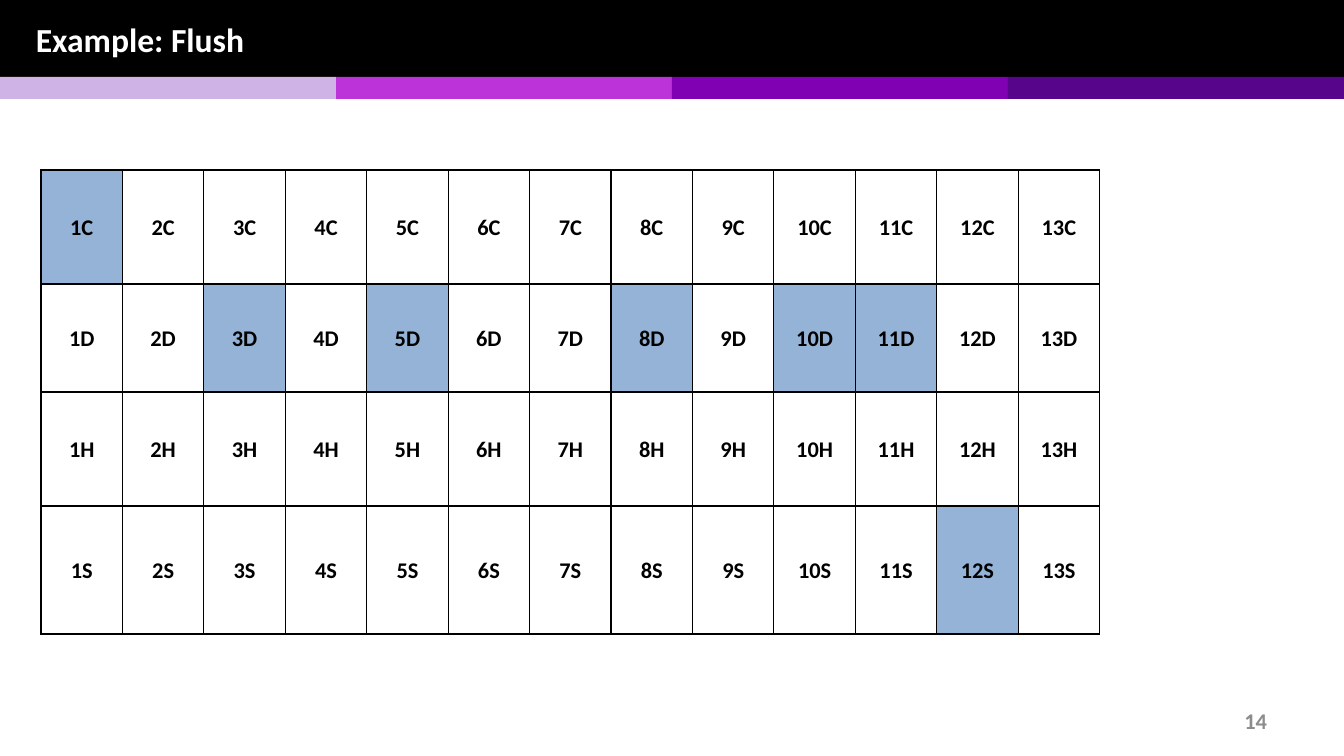
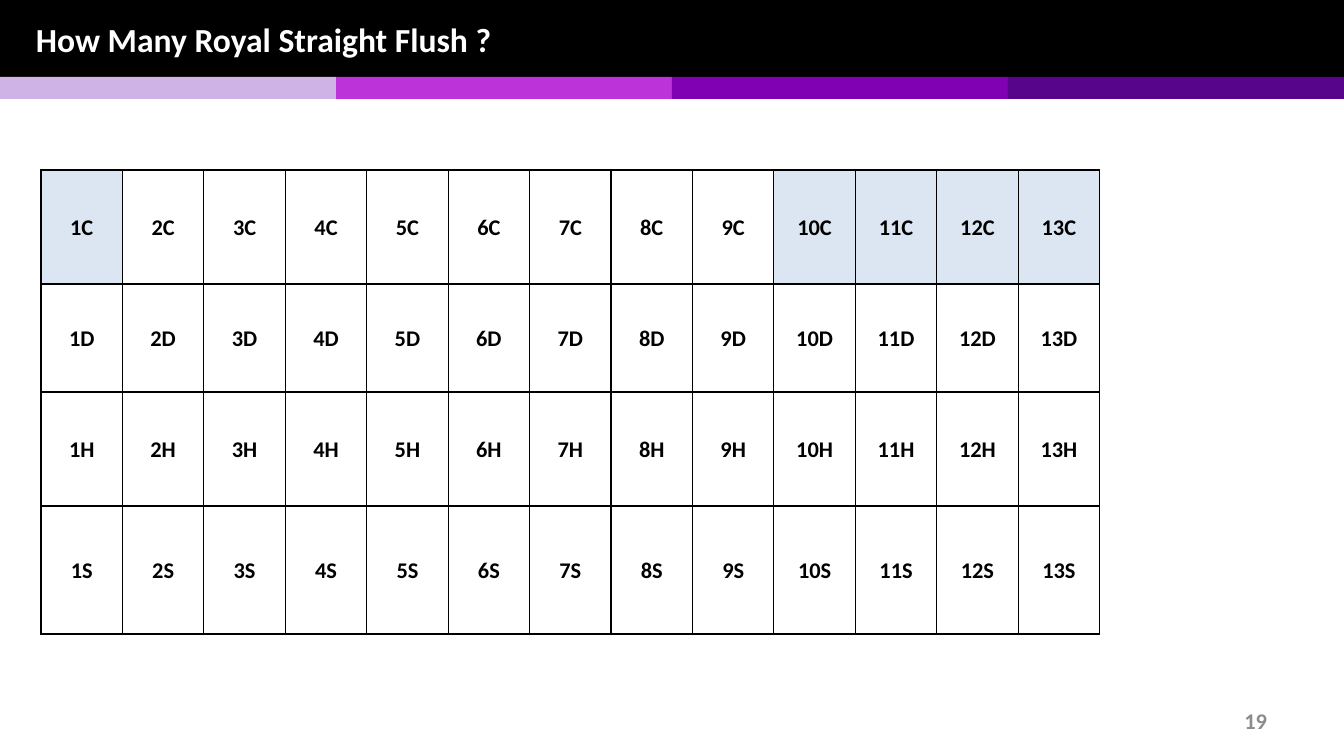
import pptx
import pptx.util
from lxml import etree
from pptx.dml.color import RGBColor
from pptx.enum.shapes import MSO_SHAPE
from pptx.enum.text import MSO_ANCHOR, PP_ALIGN
from pptx.oxml.ns import qn

SLIDES = [
    {"title": "Example: Flush", "number": 14, "highlight": RGBColor(0x95, 0xB3, 0xD7),
     "hand": {"1C", "3D", "5D", "8D", "10D", "11D", "12S"}},
    {"title": "How Many Royal Straight Flush ?", "number": 19, "highlight": RGBColor(0xDC, 0xE6, 0xF2),
     "hand": {"1C", "10C", "11C", "12C", "13C"}},
]
RANKS = range(1, 14)
SUIT_ROWS = [("C", 114), ("D", 108), ("H", 114), ("S", 128)]  # suit, row height in px

FONT = "Calibri"
BLACK = RGBColor(0, 0, 0)
WHITE = RGBColor(0xFF, 0xFF, 0xFF)
GREY = RGBColor(0x8C, 0x8C, 0x8C)
STRIPES = [RGBColor(0xCF, 0xB3, 0xE6), RGBColor(0xBD, 0x33, 0xDA),
           RGBColor(0x80, 0x00, 0xB3), RGBColor(0x57, 0x05, 0x8A)]

SLIDE_WIDTH, SLIDE_HEIGHT = 1344, 756
HEADER_HEIGHT, STRIPE_HEIGHT = 77, 22
TABLE_LEFT, TABLE_TOP, TABLE_WIDTH = 41, 170, 1059
CELL_MARGIN = 7
PX_PER_INCH = 100.8


def px(length):
    return pptx.util.Inches(length / PX_PER_INCH)


def add_band(slide, left, top, width, height, color):
    band = slide.shapes.add_shape(MSO_SHAPE.RECTANGLE, px(left), px(top), px(width), px(height))
    band.shadow.inherit = False
    band.fill.solid()
    band.fill.fore_color.rgb = color
    band.line.fill.background()


def write(frame, text, size, color, align):
    paragraph = frame.paragraphs[0]
    paragraph.text = text
    paragraph.alignment = align
    font = paragraph.font
    font.name, font.size, font.bold = FONT, pptx.util.Pt(size), True
    font.color.rgb = color
    return paragraph


def add_text(slide, left, top, width, height, text, size, color, align):
    frame = slide.shapes.add_textbox(px(left), px(top), px(width), px(height)).text_frame
    frame.word_wrap = True
    frame.vertical_anchor = MSO_ANCHOR.MIDDLE
    write(frame, text, size, color, align)


def add_frame(slide, title, number):
    """Add the header, stripes, title and page number that every slide has."""
    add_band(slide, 0, 0, SLIDE_WIDTH, HEADER_HEIGHT, BLACK)
    stripe_width = SLIDE_WIDTH // len(STRIPES)
    for index, color in enumerate(STRIPES):
        add_band(slide, index * stripe_width, HEADER_HEIGHT, stripe_width, STRIPE_HEIGHT, color)
    add_text(slide, 26, 1, 1292, 76, title, 24, WHITE, PP_ALIGN.LEFT)
    add_text(slide, 964, 701, 313, 40, str(number), 16, GREY, PP_ALIGN.RIGHT)


def add_borders(cell):
    properties = cell._tc.get_or_add_tcPr()
    for side in ("a:lnL", "a:lnR", "a:lnT", "a:lnB"):
        line = etree.SubElement(properties, qn(side), w=str(pptx.util.Pt(1)))
        fill = etree.SubElement(line, qn("a:solidFill"))
        etree.SubElement(fill, qn("a:srgbClr"), val=str(BLACK))


def fill_card(cell, card, color):
    add_borders(cell)
    cell.fill.solid()
    cell.fill.fore_color.rgb = color
    cell.vertical_anchor = MSO_ANCHOR.MIDDLE
    cell.margin_left = cell.margin_right = px(CELL_MARGIN)
    cell.margin_top = cell.margin_bottom = 0
    write(cell.text_frame, card, 16, BLACK, PP_ALIGN.CENTER).line_spacing = 1.07


def add_deck_table(slide, hand, highlight):
    """Add the 52 cards, one suit a row, with the cards in hand highlighted."""
    height = sum(row_height for _, row_height in SUIT_ROWS)
    table = slide.shapes.add_table(len(SUIT_ROWS), len(RANKS), px(TABLE_LEFT), px(TABLE_TOP),
                                   px(TABLE_WIDTH), px(height)).table
    table.first_row = table.horz_banding = False
    for column in table.columns:
        column.width = px(TABLE_WIDTH / len(RANKS))
    for row, (suit, row_height) in zip(table.rows, SUIT_ROWS):
        row.height = px(row_height)
        for cell, rank in zip(row.cells, RANKS):
            card = f"{rank}{suit}"
            fill_card(cell, card, highlight if card in hand else WHITE)


def main():
    presentation = pptx.Presentation()
    presentation.slide_width, presentation.slide_height = px(SLIDE_WIDTH), px(SLIDE_HEIGHT)
    for content in SLIDES:
        slide = presentation.slides.add_slide(presentation.slide_layouts[6])
        add_frame(slide, content["title"], content["number"])
        add_deck_table(slide, content["hand"], content["highlight"])
    presentation.save("out.pptx")


if __name__ == "__main__":
    main()
